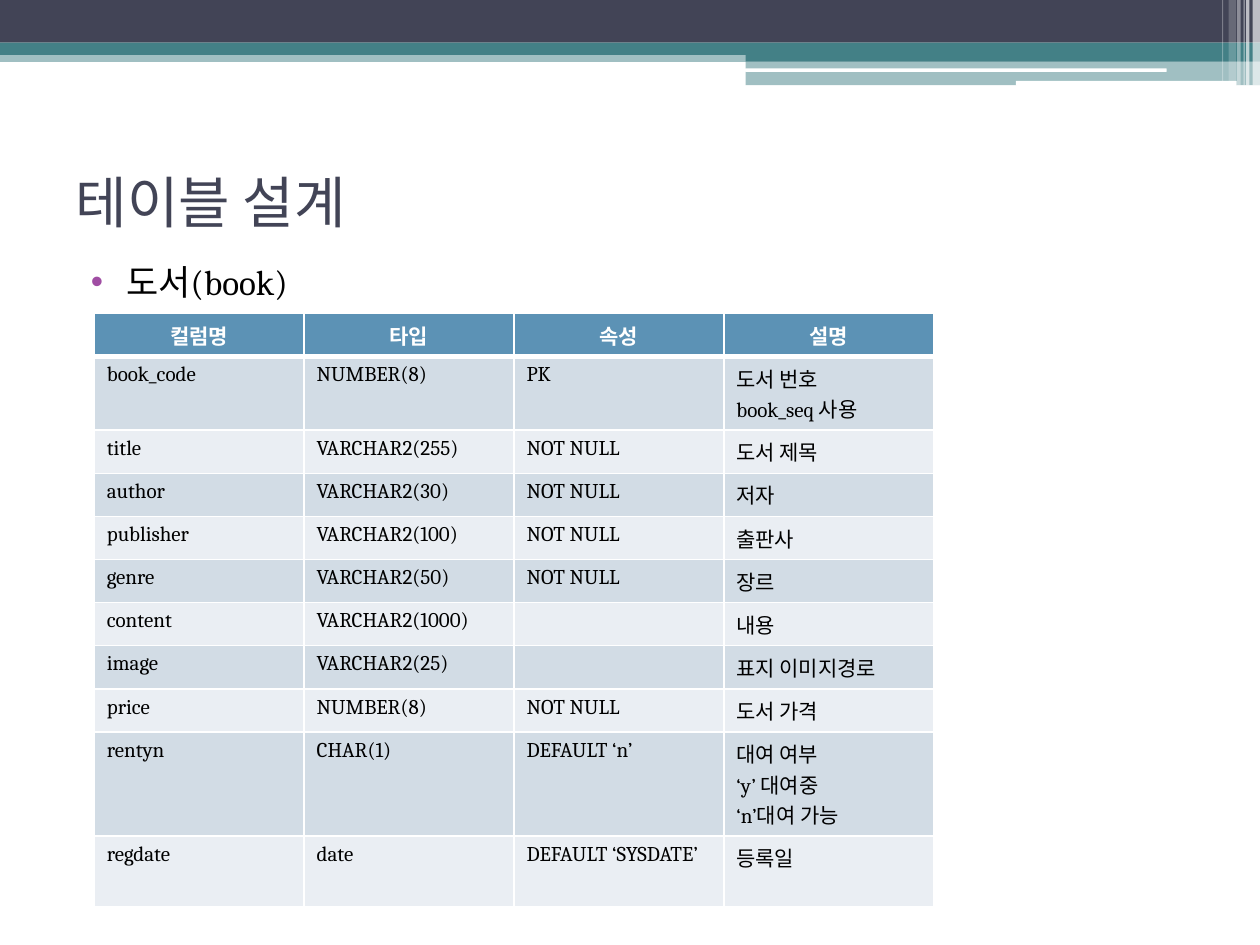
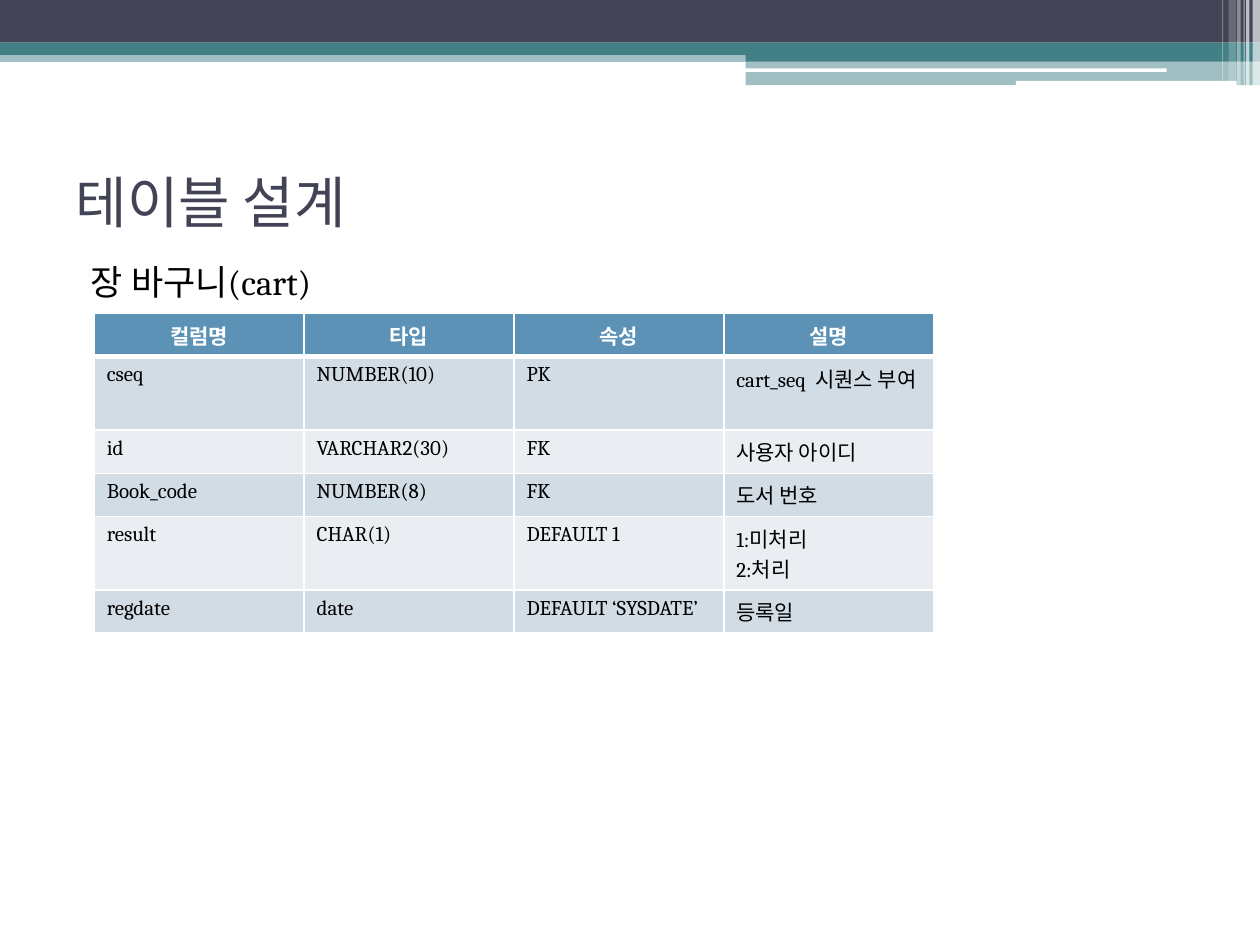
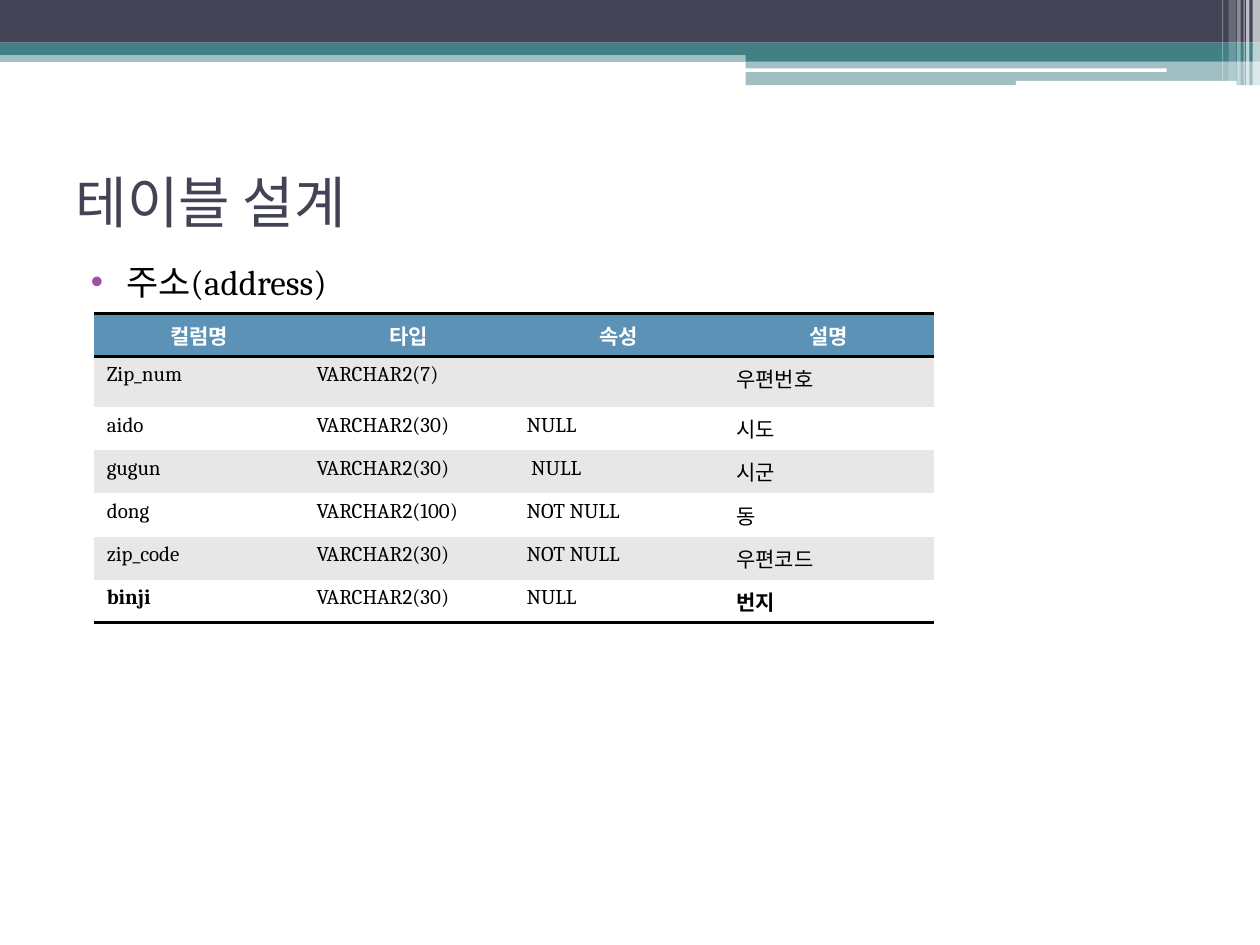
from lxml import etree
from pptx import Presentation
from pptx.dml.color import RGBColor
from pptx.enum.shapes import MSO_SHAPE
from pptx.enum.text import MSO_ANCHOR, MSO_AUTO_SIZE, PP_ALIGN
from pptx.oxml.ns import qn
from pptx.util import Cm, Pt

RECTANGLE, ROUNDED = MSO_SHAPE.RECTANGLE, MSO_SHAPE.ROUNDED_RECTANGLE
LEFT, CENTER = PP_ALIGN.LEFT, PP_ALIGN.CENTER
TOP, MIDDLE = MSO_ANCHOR.TOP, MSO_ANCHOR.MIDDLE
NO_AUTOFIT = MSO_AUTO_SIZE.NONE

COLORS = {
    "navy": "424456", "teal": "438086", "white": "FFFFFF", "black": "000000",
    "purple": "A04DA3", "header": "5C92B5", "blue": "D2DCE5",
    "pale": "EAEEF3", "gray": "E7E7E7",
}
TITLE_FONT, BODY_FONT = "Lato", "Cambria"
CELL_SIZE = 12
ROW, TALL_ROW, LONG_ROW = 0.81, 1.02, 1.42
COLUMN_WIDTH = 4.23

# preset, left, top, width, height (cm), color, opacity in percent
BANDS = [
    (RECTANGLE, 0, 1.02, 25.4, 0.23, "teal", 50),
    (RECTANGLE, 0, 0, 25.4, 0.86, "navy", 100),
    (RECTANGLE, 0, 0.86, 25.4, 0.25, "teal", 100),
    (RECTANGLE, 15.03, 0.99, 10.37, 0.25, "teal", 100),
    (RECTANGLE, 15.03, 1.24, 10.37, 0.48, "teal", 50),
    (ROUNDED, 15.02, 1.38, 8.5, 0.07, "white", 100),
    (ROUNDED, 20.48, 1.63, 4.45, 0.1, "white", 100),
    (RECTANGLE, 25.25, 0, 0.15, 1.73, "white", 65),
    (RECTANGLE, 25.12, 0, 0.07, 1.73, "white", 65),
    (RECTANGLE, 25.07, 0, 0.02, 1.73, "white", 60),
    (RECTANGLE, 24.94, 0, 0.07, 1.73, "white", 40),
    (RECTANGLE, 24.77, 0, 0.15, 1.63, "white", 20),
    (RECTANGLE, 24.64, 0, 0.02, 1.63, "white", 30),
]

HEADER = ("컬럼명", "타입", "속성", "설명")
BOOK = [
    ("book_code", "NUMBER(8)", "PK", "도서 번호\nbook_seq 사용"),
    ("title", "VARCHAR2(255)", "NOT NULL", "도서 제목"),
    ("author", "VARCHAR2(30)", "NOT NULL", "저자"),
    ("publisher", "VARCHAR2(100)", "NOT NULL", "출판사"),
    ("genre", "VARCHAR2(50)", "NOT NULL", "장르"),
    ("content", "VARCHAR2(1000)", "", "내용"),
    ("image", "VARCHAR2(25)", "", "표지 이미지경로"),
    ("price", "NUMBER(8)", "NOT NULL", "도서 가격"),
    ("rentyn", "CHAR(1)", "DEFAULT ‘n’", "대여 여부\n‘y’ 대여중\n‘n’대여 가능"),
    ("regdate", "date", "DEFAULT ‘SYSDATE’", "등록일"),
]
CART = [
    ("cseq", "NUMBER(10)", "PK", "cart_seq  시퀀스 부여"),
    ("id", "VARCHAR2(30)", "FK", "사용자 아이디"),
    ("Book_code", "NUMBER(8)", "FK", "도서 번호"),
    ("result", "CHAR(1)", "DEFAULT 1", "1:미처리\n2:처리"),
    ("regdate", "date", "DEFAULT ‘SYSDATE’", "등록일"),
]
ADDRESS = [
    ("Zip_num", "VARCHAR2(7)", "", "우편번호"),
    ("aido", "VARCHAR2(30)", "NULL", "시도"),
    ("gugun", "VARCHAR2(30)", " NULL", "시군"),
    ("dong", "VARCHAR2(100)", "NOT NULL", "동"),
    ("zip_code", "VARCHAR2(30)", "NOT NULL", "우편코드"),
    ("binji", "VARCHAR2(30)", "NULL", "번지"),
]


def rgb(name):
    """Return the named color."""
    return RGBColor.from_string(COLORS[name])


def write_text(text_frame, text, font=BODY_FONT, size=CELL_SIZE, color="black",
               bold=False, align=LEFT, space_before=0):
    """Write one paragraph for each line of the text."""
    for index, line in enumerate(text.split("\n")):
        paragraph = text_frame.paragraphs[0] if index == 0 else text_frame.add_paragraph()
        paragraph.alignment = align
        paragraph.space_before = Pt(space_before)
        if line:
            run = paragraph.add_run()
            run.text = line
            run.font.name, run.font.size, run.font.bold = font, Pt(size), bold
            run.font.color.rgb = rgb(color)


def add_color(parent, tag, name):
    """Add a color holder such as a:solidFill under an XML element."""
    holder = etree.SubElement(parent, qn(tag))
    etree.SubElement(holder, qn("a:srgbClr"), val=COLORS[name])


def add_edge(cell_properties, side, line):
    """Draw one cell edge from (color, points), or hide it for None."""
    edge = etree.SubElement(cell_properties, qn(f"a:ln{side}"))
    if line is None:
        etree.SubElement(edge, qn("a:noFill"))
    else:
        color, width = line
        edge.set("w", str(Pt(width)))
        add_color(edge, "a:solidFill", color)


def grid_line(index, last):
    """Return the horizontal line of a white grid, thick below the header."""
    return ("white", 3 if index == 1 else 1)


def ruled_line(index, last):
    """Return a black line around the header and at the table's end."""
    return ("black", 2) if index in (0, 1, last) else None


class Deck:
    """Holds the shared style and the current slide."""

    def __init__(self):
        self.presentation = Presentation()
        self.presentation.slide_width = Cm(25.4)
        self.presentation.slide_height = Cm(19.05)
        self.slide = None

    def start_slide(self, title, heading, bullet=True):
        """Add a slide with its title and heading."""
        layout = self.presentation.slide_layouts[1]
        self.slide = self.presentation.slides.add_slide(layout)
        title_frame = self.place(self.slide.shapes.title, 3.18, 1.75, MIDDLE).text_frame
        write_text(title_frame, title, font=TITLE_FONT, size=32, color="navy")
        body = self.place(self.slide.placeholders[1], 5.13, 13.13, TOP)
        write_text(body.text_frame, heading, size=20, space_before=3)
        self.set_bullet(body, bullet)

    def place(self, shape, top, height, anchor):
        """Move a placeholder across the text width."""
        shape.left, shape.top = Cm(1.27), Cm(top)
        shape.width, shape.height = Cm(22.86), Cm(height)
        shape.text_frame.auto_size = NO_AUTOFIT
        shape.text_frame.vertical_anchor = anchor
        return shape

    def set_bullet(self, body, bullet):
        """Set the hanging indent and the bullet of each paragraph."""
        for properties in body.element.iter(qn("a:pPr")):
            properties.set("marL", str(Cm(1.02)))
            properties.set("indent", str(-Cm(0.71)))
            if bullet:
                add_color(properties, "a:buClr", "purple")
                etree.SubElement(properties, qn("a:buChar"), char="•")
            else:
                etree.SubElement(properties, qn("a:buNone"))

    def add_band(self, preset, left, top, width, height, color, opacity):
        """Add one plain filled band to the current slide."""
        shape = self.slide.shapes.add_shape(preset, Cm(left), Cm(top), Cm(width), Cm(height))
        shape.shadow.inherit = False
        shape.fill.solid()
        shape.fill.fore_color.rgb = rgb(color)
        shape.line.fill.background()
        if opacity < 100:
            fill = next(shape.element.iter(qn("a:srgbClr")))
            etree.SubElement(fill, qn("a:alpha"), val=str(opacity * 1000))
        return shape

    def share_bands(self):
        """Put the bands on the master, behind its placeholders."""
        tree = next(self.presentation.slide_master.element.iter(qn("p:spTree")))
        for index, band in enumerate(BANDS):
            element = self.add_band(*band).element
            next(element.iter(qn("p:cNvPr"))).set("id", str(100 + index))
            tree.insert(2 + index, element)

    def add_table(self, rows, heights, stripes, row_line, column_line=None, bold_cells=()):
        """Add a table with a header, striped rows and ruled edges."""
        last = len(rows) + 1
        frame = self.slide.shapes.add_table(
            last, len(HEADER), Cm(1.9), Cm(6.32),
            Cm(COLUMN_WIDTH * len(HEADER)), Cm(sum(heights)))
        table = frame.table
        table.horz_banding = False
        for column in table.columns:
            column.width = Cm(COLUMN_WIDTH)
        for row, height in zip(table.rows, heights):
            row.height = Cm(height)

        for index, element in enumerate(frame.element.iter(qn("a:tc"))):
            row_index = index // len(HEADER)
            properties = element.get_or_add_tcPr()
            add_edge(properties, "L", column_line)
            add_edge(properties, "R", column_line)
            add_edge(properties, "T", row_line(row_index, last))
            add_edge(properties, "B", row_line(row_index + 1, last))

        for row_index, texts in enumerate([HEADER, *rows]):
            for column_index, text in enumerate(texts):
                cell = table.cell(row_index, column_index)
                cell.fill.solid()
                if row_index == 0:
                    cell.fill.fore_color.rgb = rgb("header")
                    write_text(cell.text_frame, text, color="white", bold=True, align=CENTER)
                else:
                    cell.fill.fore_color.rgb = rgb(stripes[(row_index - 1) % 2])
                    write_text(cell.text_frame, text,
                               bold=(row_index, column_index) in bold_cells)

        for paragraph in frame.element.iter(qn("a:p")):
            if paragraph.find(qn("a:r")) is None:
                etree.SubElement(paragraph, qn("a:endParaRPr"), sz=str(CELL_SIZE * 100))


def main():
    """Build the three table design slides."""
    deck = Deck()
    title = "테이블 설계"
    grid = {"stripes": ("blue", "pale"), "row_line": grid_line, "column_line": ("white", 1)}

    deck.start_slide(title, "도서(book)")
    deck.share_bands()
    deck.add_table(BOOK, [ROW, TALL_ROW] + [ROW] * 7 + [LONG_ROW] * 2, **grid)

    deck.start_slide(title, "장 바구니(cart)", bullet=False)
    deck.add_table(CART, [ROW, TALL_ROW] + [ROW] * 4, **grid)

    deck.start_slide(title, "주소(address)")
    deck.add_table(ADDRESS, [ROW, TALL_ROW] + [ROW] * 5, stripes=("gray", "white"),
                   row_line=ruled_line, bold_cells={(6, 0), (6, 3)})

    deck.presentation.save("out.pptx")


main()
